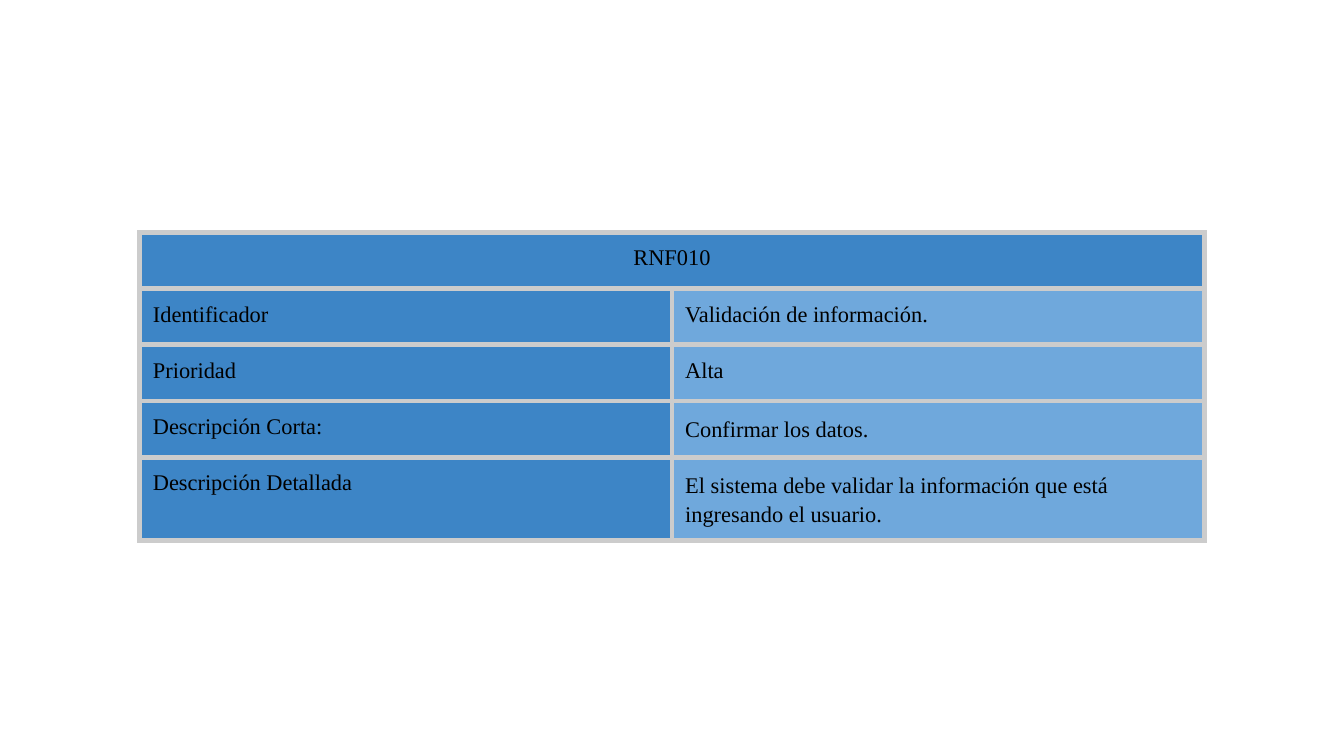
from dataclasses import dataclass

from lxml.etree import SubElement
from pptx import Presentation
from pptx.dml.color import RGBColor as RGB
from pptx.enum.text import MSO_ANCHOR as Anchor, PP_ALIGN as Align
from pptx.oxml.ns import qn
from pptx.table import _Cell as Cell
from pptx.util import Cm, Pt

COLORS = {"label": "3D85C6", "value": "6FA8DC", "border": "CCCCCC", "text": "000000"}
FONT = "Times New Roman"
INSET = Cm(0.25)
COL_WIDTH, ROW_HEIGHT = Cm(10.06), Cm(1.06)


@dataclass
class Field:
    label: str
    value: str
    spacing: float | None = None


TITLE = "RNF010"
FIELDS = [
    Field("Identificador", "Validación de información."),
    Field("Prioridad", "Alta"),
    Field("Descripción Corta:", "Confirmar los datos.", 1.15),
    Field(
        "Descripción Detallada",
        "El sistema debe validar la información que está ingresando el usuario.",
        1.15,
    ),
]


def set_borders(cell: Cell) -> None:
    """Draw all four sides; borders must precede the fill in tcPr."""
    tc_pr = cell._tc.get_or_add_tcPr()
    for side in ("lnL", "lnR", "lnT", "lnB"):
        ln = SubElement(tc_pr, qn(f"a:{side}"), w=str(Pt(3)))
        fill = SubElement(ln, qn("a:solidFill"))
        SubElement(fill, qn("a:srgbClr"), val=COLORS["border"])


def style_cell(cell: Cell, color: str) -> None:
    set_borders(cell)
    cell.fill.solid()
    cell.fill.fore_color.rgb = RGB.from_string(COLORS[color])
    cell.margin_left = cell.margin_right = INSET
    cell.margin_top = cell.margin_bottom = INSET
    cell.vertical_anchor = Anchor.TOP


def write_cell(
    cell: Cell, text: str, align: Align = Align.LEFT, spacing: float | None = None
) -> None:
    cell.text = text
    p = cell.text_frame.paragraphs[0]
    p.alignment = align
    p.line_spacing = spacing
    p.font.name = FONT
    p.font.size = Pt(12)
    p.font.color.rgb = RGB.from_string(COLORS["text"])


def main() -> None:
    prs = Presentation()
    prs.slide_width, prs.slide_height = Cm(25.4), Cm(14.29)
    s = prs.slides.add_slide(prs.slide_layouts[6])

    n_rows = len(FIELDS) + 1
    table = s.shapes.add_table(
        n_rows, 2, Cm(2.64), Cm(4.4), 2 * COL_WIDTH, n_rows * ROW_HEIGHT
    ).table
    table.first_row = table.horz_banding = False
    for col in table.columns:
        col.width = COL_WIDTH
    for row in table.rows:
        row.height = ROW_HEIGHT

    title = table.cell(0, 0)
    title.merge(table.cell(0, 1))
    for cell in table.rows[0].cells:
        style_cell(cell, "label")
    write_cell(title, TITLE, Align.CENTER)

    for i, field in enumerate(FIELDS, start=1):
        label, value = table.rows[i].cells
        style_cell(label, "label")
        style_cell(value, "value")
        write_cell(label, field.label)
        write_cell(value, field.value, spacing=field.spacing)

    prs.save("out.pptx")


if __name__ == "__main__":
    main()
